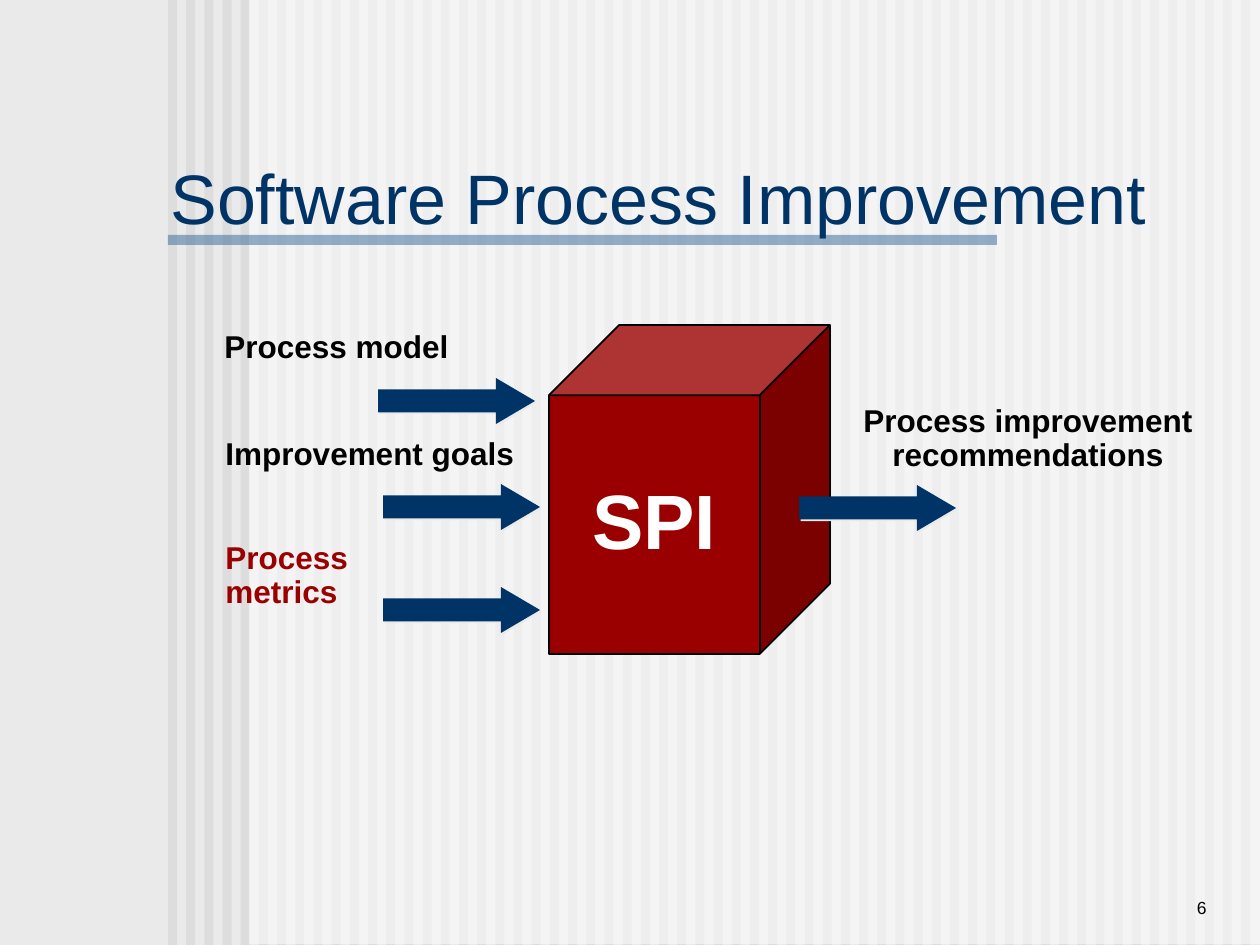
from lxml.etree import SubElement
from pptx import Presentation
from pptx.dml.color import RGBColor
from pptx.enum.shapes import MSO_SHAPE
from pptx.enum.text import MSO_ANCHOR, PP_ALIGN
from pptx.oxml.ns import qn
from pptx.util import Pt

EMU_PER_PX = 914400 / 126
FONT = "Arial"
BLACK = RGBColor(0x00, 0x00, 0x00)
WHITE = RGBColor(0xFF, 0xFF, 0xFF)
PAPER = RGBColor(0xEA, 0xEA, 0xEA)
STRIPE = RGBColor(0xDD, 0xDD, 0xDD)
RULE = RGBColor(0x33, 0x66, 0x99)
NAVY = RGBColor(0x00, 0x33, 0x66)
RED = RGBColor(0x9A, 0x00, 0x00)


def px(n):
    return round(n * EMU_PER_PX)


def add_shape(s, kind, box, color, alpha=None):
    """Add a filled shape without line or shadow; alpha is in percent."""
    sp = s.shapes.add_shape(kind, *map(px, box))
    sp.shadow.inherit = False
    sp.fill.solid()
    sp.fill.fore_color.rgb = color
    sp.line.fill.background()
    if alpha is not None:
        clr = sp._element.spPr.find(qn("a:solidFill")).find(qn("a:srgbClr"))
        SubElement(clr, qn("a:alpha"), val=str(alpha * 1000))
    return sp


def write(tf, lines, size, color, bold=False, align=PP_ALIGN.LEFT,
          spacing=1.0, anchor=MSO_ANCHOR.TOP, wrap=False):
    tf.word_wrap = wrap
    tf.vertical_anchor = anchor
    for i, line in enumerate(lines):
        p = tf.paragraphs[0] if i == 0 else tf.add_paragraph()
        p.text = line
        p.alignment = align
        p.line_spacing = spacing
        p.font.name = FONT
        p.font.size = Pt(size)
        p.font.bold = bold
        p.font.color.rgb = color


def add_text(s, box, lines, size, color, **style):
    tb = s.shapes.add_textbox(*map(px, box))
    write(tb.text_frame, lines, size, color, **style)


def add_backdrop(s, x, y, w, h):
    """Vertical stripes, veiled on the right, with a rule under the title."""
    count, stripe_w, last = 60, 9, 1073
    for i in range(count):
        left = x + i * last / (count - 1)
        add_shape(s, MSO_SHAPE.RECTANGLE, (left, y, stripe_w, h), STRIPE)
    add_shape(s, MSO_SHAPE.RECTANGLE, (x + 81, y - 1, w - 81, h), WHITE, 50)
    add_shape(s, MSO_SHAPE.RECTANGLE, (x, y + 235, 829, 10), RULE, 50)


def add_cube(s, x, y, w, h):
    sp = add_shape(s, MSO_SHAPE.CUBE, (x, y, w, h), RED)
    sp.adjustments[0] = 0.25
    sp.line.color.rgb = BLACK
    sp.line.width = Pt(1)
    write(sp.text_frame, ["SPI"], 44, WHITE, bold=True, align=PP_ALIGN.CENTER,
          spacing=0.9, anchor=MSO_ANCHOR.MIDDLE)


def add_arrow(s, x, y):
    sp = add_shape(s, MSO_SHAPE.RIGHT_ARROW, (x, y, 157, 46), NAVY)
    sp.adjustments[0] = 0.5
    sp.adjustments[1] = 0.85
    effects = sp._element.spPr.find(qn("a:effectLst"))
    shadow = SubElement(effects, qn("a:outerShdw"), dist=str(Pt(1.4)),
                        dir="2700000", algn="ctr", rotWithShape="0")
    SubElement(shadow, qn("a:srgbClr"), val=str(PAPER))


def add_flow(s, x, y, w, h, lines, color, arrow_dx, arrow_dy,
             align=PP_ALIGN.LEFT):
    """A label with its arrow, offset from the label's corner."""
    add_arrow(s, x + arrow_dx, y + arrow_dy)
    add_text(s, (x, y, w, h), lines, 18, color, bold=True, align=align,
             spacing=0.9)


def main():
    prs = Presentation()
    prs.slide_width, prs.slide_height = px(1260), px(945)
    s = prs.slides.add_slide(prs.slide_layouts[6])
    s.background.fill.solid()
    s.background.fill.fore_color.rgb = PAPER

    add_backdrop(s, 168, 0, 1092, 945)
    add_text(s, (1040, 861, 179, 63), ["6"], 10, BLACK, align=PP_ALIGN.RIGHT,
             anchor=MSO_ANCHOR.BOTTOM, wrap=True)
    add_text(s, (158, 158, 1050, 87), ["Software Process Improvement"], 40,
             NAVY, anchor=MSO_ANCHOR.BOTTOM, wrap=True)
    add_cube(s, 549, 325, 281, 329)
    add_flow(s, 212, 325, 249, 47, ["Process model"], BLACK, 166, 53)
    add_flow(s, 213, 432, 314, 47, ["Improvement goals"], BLACK, 170, 52)
    add_flow(s, 213, 536, 268, 47, ["Process metrics"], RED, 170, 51)
    add_flow(s, 851, 399, 354, 81, ["Process improvement", "recommendations"],
             BLACK, -52, 86, PP_ALIGN.CENTER)
    prs.save("out.pptx")


if __name__ == "__main__":
    main()
